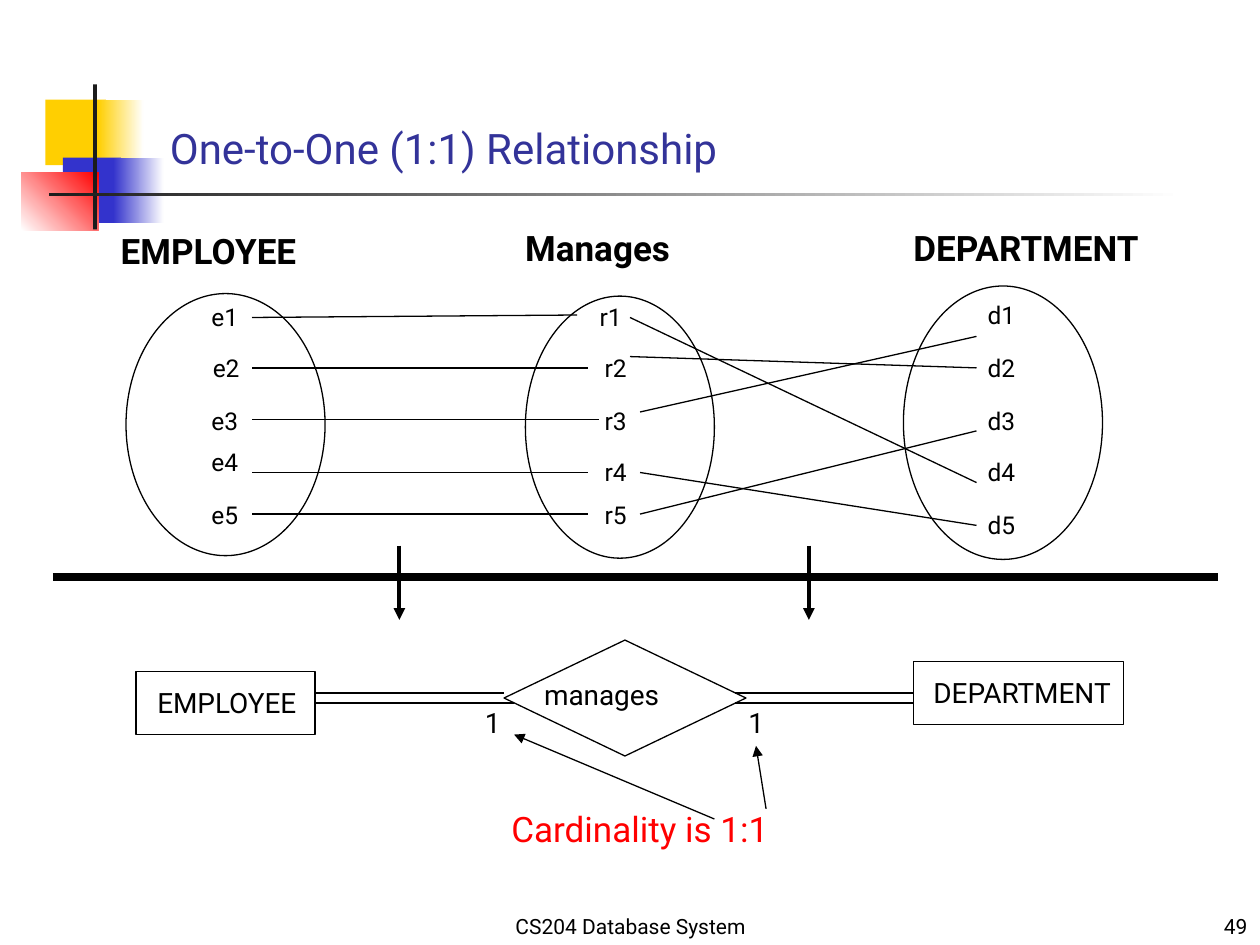
from pptx import Presentation
from pptx.util import Inches, Pt
from pptx.dml.color import RGBColor
from pptx.enum.shapes import MSO_SHAPE as Shape, MSO_CONNECTOR as Connector
from pptx.enum.text import PP_ALIGN as Align, MSO_ANCHOR as Anchor, MSO_AUTO_SIZE as AutoSize
from lxml import etree
from pptx.oxml.ns import qn

THEME = {
    "font": "Roboto",
    "ink": "000000", "title": "333399", "accent": "FF0000",
    "yellow": "FFCF01", "blue": "3333CC", "red": "FF0000", "bar": "1C1C1C", "white": "FFFFFF",
    "title_size": 24, "heading_size": 20, "label_size": 16, "member_size": 14, "footer_size": 12,
    "thin": 0.75, "arrow": 2.25, "divider": 4.5,
}

# left, top, width, height, colours, gradient angle
DECORATION = [
    (0.36, 0.79, 0.48, 0.52, ["yellow"], 0),
    (0.78, 0.79, 0.36, 0.52, ["yellow", "white"], 0),
    (0.5, 1.25, 0.46, 0.52, ["blue"], 0),
    (0.9, 1.25, 0.4, 0.52, ["blue", "white"], 0),
    (0.17, 1.37, 0.61, 0.46, ["white", "red"], 45),
    (0.74, 0.67, 0.03, 1.15, ["bar"], 0),
    (0.39, 1.53, 9, 0.03, ["bar", "white"], 0),
]

SETS = [
    {"heading": ("EMPLOYEE", 0.86, 1.77, 1.66), "oval": (1, 2.33, 1.58, 2.08), "width": 0.42,
     "members": [("e1", 1.58, 2.35), ("e2", 1.59, 2.75), ("e3", 1.58, 3.17),
                 ("e4", 1.58, 3.5), ("e5", 1.58, 3.92)]},
    {"heading": ("Manages", 4.07, 1.75, 1.46), "oval": (4.17, 2.35, 1.5, 2.08), "width": 0.39,
     "members": [("r1", 4.66, 2.35), ("r2", 4.7, 2.75), ("r3", 4.7, 3.17),
                 ("r4", 4.7, 3.58), ("r5", 4.7, 3.92)]},
    {"heading": ("DEPARTMENT", 7.15, 1.75, 2.08), "oval": (7.17, 2.27, 1.58, 2.17), "width": 0.43,
     "members": [("d1", 7.74, 2.33), ("d2", 7.74, 2.75), ("d3", 7.74, 3.17),
                 ("d4", 7.74, 3.58), ("d5", 7.74, 4)]},
]

EMPLOYEE_X, DEPARTMENT_X = 2, 7.75
# start y, end x, end y
EMPLOYEE_LINKS = [(2.52, 4.58, 2.5), (2.92, 4.67, 2.92), (3.33, 4.75, 3.33),
                  (3.75, 4.67, 3.75), (4.08, 4.67, 4.08)]
# start x, start y, end y
DEPARTMENT_LINKS = [(5, 2.52, 3.83), (5, 2.83, 2.92), (5.08, 3.27, 2.67),
                    (5.08, 3.75, 4.17), (5.08, 4.08, 3.42)]

EMPLOYEE_BOX = (1.08, 5.33, 1.42, 0.5)
DEPARTMENT_BOX = (7.25, 5.25, 1.67, 0.5)
DIAMOND = (4, 5.08, 1.92, 0.92)
DIAGRAM_LABELS = [
    ("EMPLOYEE", 1.15, 5.39, 1.37), ("manages", 4.22, 5.33, 1.16),
    ("DEPARTMENT", 7.31, 5.31, 1.64), ("1", 3.75, 5.55, 0.32), ("1", 5.84, 5.55, 0.32),
]
UPPER_Y, LOWER_Y = 5.5, 5.58
CARDINALITY_ARROWS = [((6.08, 6.42), (6, 5.92)), ((5.67, 6.5), (4.08, 5.83))]
DOWN_ARROWS_X = [3.17, 6.42]

presentation = Presentation()
presentation.slide_width, presentation.slide_height = Inches(10), Inches(7.5)
slide = presentation.slides.add_slide(presentation.slide_layouts[6])


def color(name):
    return RGBColor.from_string(THEME[name])


def add_text(text, left, top, width, height, size, ink="ink", bold=False,
             align=Align.LEFT, anchor=Anchor.TOP, wrap=False):
    box = slide.shapes.add_textbox(*map(Inches, (left, top, width, height)))
    frame = box.text_frame
    frame.word_wrap = wrap
    frame.auto_size = AutoSize.NONE if wrap else AutoSize.SHAPE_TO_FIT_TEXT
    frame.vertical_anchor = anchor
    paragraph = frame.paragraphs[0]
    paragraph.alignment = align
    run = paragraph.add_run()
    run.text = text
    run.font.name = THEME["font"]
    run.font.size = Pt(THEME[size])
    run.font.bold = bold
    run.font.color.rgb = color(ink)


def add_shape(kind, bounds):
    shape = slide.shapes.add_shape(kind, *map(Inches, bounds))
    shape.shadow.inherit = False
    return shape


def add_outline(kind, bounds):
    shape = add_shape(kind, bounds)
    shape.fill.background()
    shape.line.color.rgb = color("ink")
    shape.line.width = Pt(THEME["thin"])
    return shape


def add_line(start, end, weight="thin", arrow=False):
    line = slide.shapes.add_connector(Connector.STRAIGHT, *map(Inches, (*start, *end)))
    line.line.color.rgb = color("ink")
    line.line.width = Pt(THEME[weight])
    if arrow:
        etree.SubElement(line.line._get_or_add_ln(), qn("a:tailEnd"), type="triangle")
    etree.SubElement(line._element.spPr, qn("a:effectLst"))
    return line


for *bounds, colors, angle in DECORATION:
    block = add_shape(Shape.RECTANGLE, bounds)
    block.line.fill.background()
    if len(colors) == 1:
        block.fill.solid()
        block.fill.fore_color.rgb = color(colors[0])
    else:
        block.fill.gradient()
        block.fill.gradient_angle = angle
        for position, (stop, name) in enumerate(zip(block.fill.gradient_stops, colors)):
            stop.position = position
            stop.color.rgb = color(name)

add_text("CS204 Database System", 3.42, 7.08, 3.17, 0.42, "footer_size",
         align=Align.CENTER, anchor=Anchor.BOTTOM, wrap=True)
add_text("49", 7.92, 7.08, 2.08, 0.42, "footer_size",
         align=Align.RIGHT, anchor=Anchor.BOTTOM, wrap=True)
add_text("One-to-One (1:1) Relationship", 1.25, 0.75, 8.52, 0.67, "title_size",
         ink="title", anchor=Anchor.BOTTOM, wrap=True)

for group in SETS:
    add_outline(Shape.OVAL, group["oval"])
    add_text(*group["heading"], 0.44, "heading_size", bold=True)
    for member, left, top in group["members"]:
        add_text(member, left, top, group["width"], 0.34, "member_size")

for start_y, end_x, end_y in EMPLOYEE_LINKS:
    add_line((EMPLOYEE_X, start_y), (end_x, end_y))
for start_x, start_y, end_y in DEPARTMENT_LINKS:
    add_line((start_x, start_y), (DEPARTMENT_X, end_y))

add_line((0.42, 4.58), (9.67, 4.58), weight="divider")
for x in DOWN_ARROWS_X:
    add_line((x, 4.33), (x, 4.92), weight="arrow", arrow=True)

employee = add_outline(Shape.RECTANGLE, EMPLOYEE_BOX)
department = add_outline(Shape.RECTANGLE, DEPARTMENT_BOX)
add_outline(Shape.DIAMOND, DIAMOND)
for label in DIAGRAM_LABELS:
    add_text(*label, 0.37, "label_size")

add_line((2.5, UPPER_Y), (4, UPPER_Y))
add_line((2.5, LOWER_Y), (4.08, LOWER_Y)).begin_connect(employee, 3)
add_line((5.83, UPPER_Y), (7.25, UPPER_Y)).end_connect(department, 1)
add_line((5.83, LOWER_Y), (7.25, LOWER_Y))

add_text("Cardinality is 1:1", 3.96, 6.36, 2.34, 0.44, "heading_size", ink="accent")
for start, end in CARDINALITY_ARROWS:
    add_line(start, end, arrow=True)

presentation.save("out.pptx")
